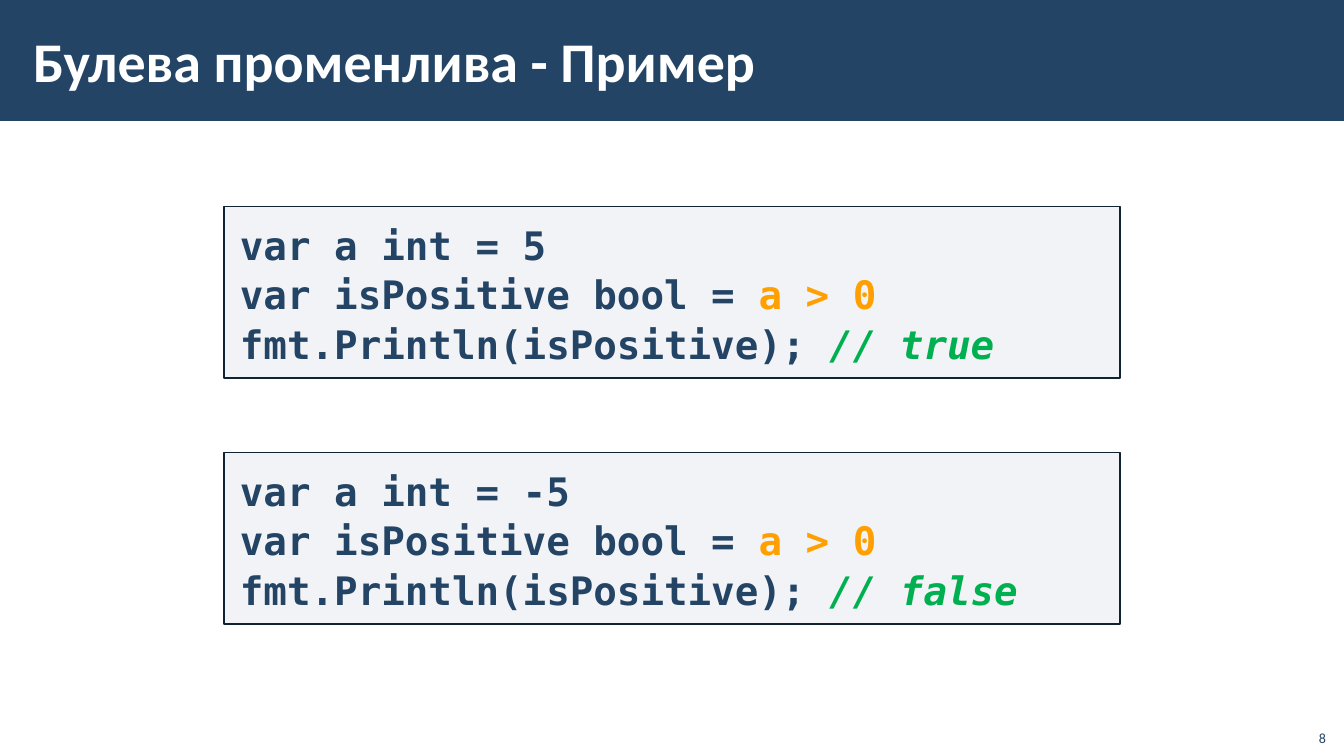
from dataclasses import dataclass

from lxml import etree
from pptx import Presentation
from pptx.dml.color import RGBColor
from pptx.enum.shapes import MSO_SHAPE
from pptx.enum.text import MSO_ANCHOR, MSO_AUTO_SIZE, PP_ALIGN
from pptx.oxml.ns import qn
from pptx.shapes.autoshape import Shape
from pptx.slide import Slide
from pptx.text.text import TextFrame, _Paragraph
from pptx.util import Emu, Pt

RECTANGLE = MSO_SHAPE.RECTANGLE
TOP, MIDDLE, BOTTOM = MSO_ANCHOR.TOP, MSO_ANCHOR.MIDDLE, MSO_ANCHOR.BOTTOM
LEFT, RIGHT = PP_ALIGN.LEFT, PP_ALIGN.RIGHT
GROW_SHAPE = MSO_AUTO_SIZE.SHAPE_TO_FIT_TEXT
EMU_PER_PX = 9144  # 100 px to the inch


@dataclass(frozen=True)
class Theme:
    navy: str = "234465"
    white: str = "FFFFFF"
    code_fill: str = "ADB4C3"
    code_border: str = "112233"
    orange: str = "FFA000"
    green: str = "00B050"
    text_font: str = "Calibri"
    code_font: str = "DejaVu Sans Mono"
    title_size: int = 40
    code_size: int = 28
    number_size: int = 10
    code_opacity: int = 15
    code_spacing: float = 1.05


THEME = Theme()


@dataclass(frozen=True)
class Box:
    left: int
    top: int
    width: int
    height: int

    def emu(self) -> tuple[Emu, Emu, Emu, Emu]:
        return px(self.left), px(self.top), px(self.width), px(self.height)


@dataclass(frozen=True)
class Style:
    font: str
    size: int
    color: str
    bold: bool = False
    italic: bool = False


@dataclass(frozen=True)
class Example:
    value: str
    result: str


TITLE = Style(THEME.text_font, THEME.title_size, THEME.white, bold=True)
NUMBER = Style(THEME.text_font, THEME.number_size, THEME.navy)
CODE = Style(THEME.code_font, THEME.code_size, THEME.navy, bold=True)
CONDITION = Style(THEME.code_font, THEME.code_size, THEME.orange, bold=True)
COMMENT = Style(THEME.code_font, THEME.code_size, THEME.green, bold=True, italic=True)

EXAMPLES = [Example("5", "true"), Example("-5", "false")]
FIRST_EXAMPLE = Box(222, 205, 889, 170)
EXAMPLE_STEP = 244


def px(length: int) -> Emu:
    return Emu(length * EMU_PER_PX)


def add_run(paragraph: _Paragraph, text: str, style: Style) -> None:
    run = paragraph.add_run()
    run.text = text
    run.font.name = style.font
    run.font.size = Pt(style.size)
    run.font.bold = style.bold
    run.font.italic = style.italic
    run.font.color.rgb = RGBColor.from_string(style.color)


def set_frame(frame: TextFrame, side: int, edge: int, anchor: MSO_ANCHOR) -> None:
    frame.word_wrap = True
    frame.vertical_anchor = anchor
    frame.margin_left = frame.margin_right = px(side)
    frame.margin_top = frame.margin_bottom = px(edge)


def add_rectangle(slide: Slide, box: Box, fill: str) -> Shape:
    shape = slide.shapes.add_shape(RECTANGLE, *box.emu())
    shape.shadow.inherit = False
    shape.fill.solid()
    shape.fill.fore_color.rgb = RGBColor.from_string(fill)
    shape.line.fill.background()
    return shape


def set_opacity(shape: Shape, percent: int) -> None:
    color = shape.fill._xPr.find(qn("a:solidFill")).find(qn("a:srgbClr"))
    etree.SubElement(color, qn("a:alpha")).set("val", str(percent * 1000))


def add_label(slide: Slide, box: Box, text: str, style: Style,
              anchor: MSO_ANCHOR, alignment: PP_ALIGN) -> None:
    frame = slide.shapes.add_textbox(*box.emu()).text_frame
    set_frame(frame, side=12 if alignment == LEFT else 10, edge=4, anchor=anchor)
    paragraph = frame.paragraphs[0]
    paragraph.alignment = alignment
    add_run(paragraph, text, style)


def add_example(slide: Slide, box: Box, example: Example) -> None:
    shape = add_rectangle(slide, box, THEME.code_fill)
    set_opacity(shape, THEME.code_opacity)
    shape.line.color.rgb = RGBColor.from_string(THEME.code_border)
    shape.line.width = Pt(1)

    frame = shape.text_frame
    set_frame(frame, side=16, edge=12, anchor=TOP)
    frame.auto_size = GROW_SHAPE
    lines = [
        [(f"var a int = {example.value}", CODE)],
        [("var isPositive bool = ", CODE), ("a > 0", CONDITION)],
        [("fmt.Println(isPositive); ", CODE), (f"// {example.result}", COMMENT)],
    ]
    for index, line in enumerate(lines):
        paragraph = frame.add_paragraph() if index else frame.paragraphs[0]
        paragraph.alignment = LEFT
        paragraph.line_spacing = THEME.code_spacing
        for text, style in line:
            add_run(paragraph, text, style)


def main() -> None:
    presentation = Presentation()
    presentation.slide_width, presentation.slide_height = px(1333), px(750)
    slide = presentation.slides.add_slide(presentation.slide_layouts[6])

    # Header band, slide number and title
    add_rectangle(slide, Box(0, 0, 1333, 120), THEME.navy)
    add_label(slide, Box(1285, 712, 40, 32), "8", NUMBER, BOTTOM, RIGHT)
    add_label(slide, Box(21, 11, 1063, 97), "Булева променлива - Пример",
              TITLE, MIDDLE, LEFT)

    # Code examples, one below the other
    first = FIRST_EXAMPLE
    for index, example in enumerate(EXAMPLES):
        top = first.top + index * EXAMPLE_STEP
        add_example(slide, Box(first.left, top, first.width, first.height), example)

    presentation.save("out.pptx")


if __name__ == "__main__":
    main()
